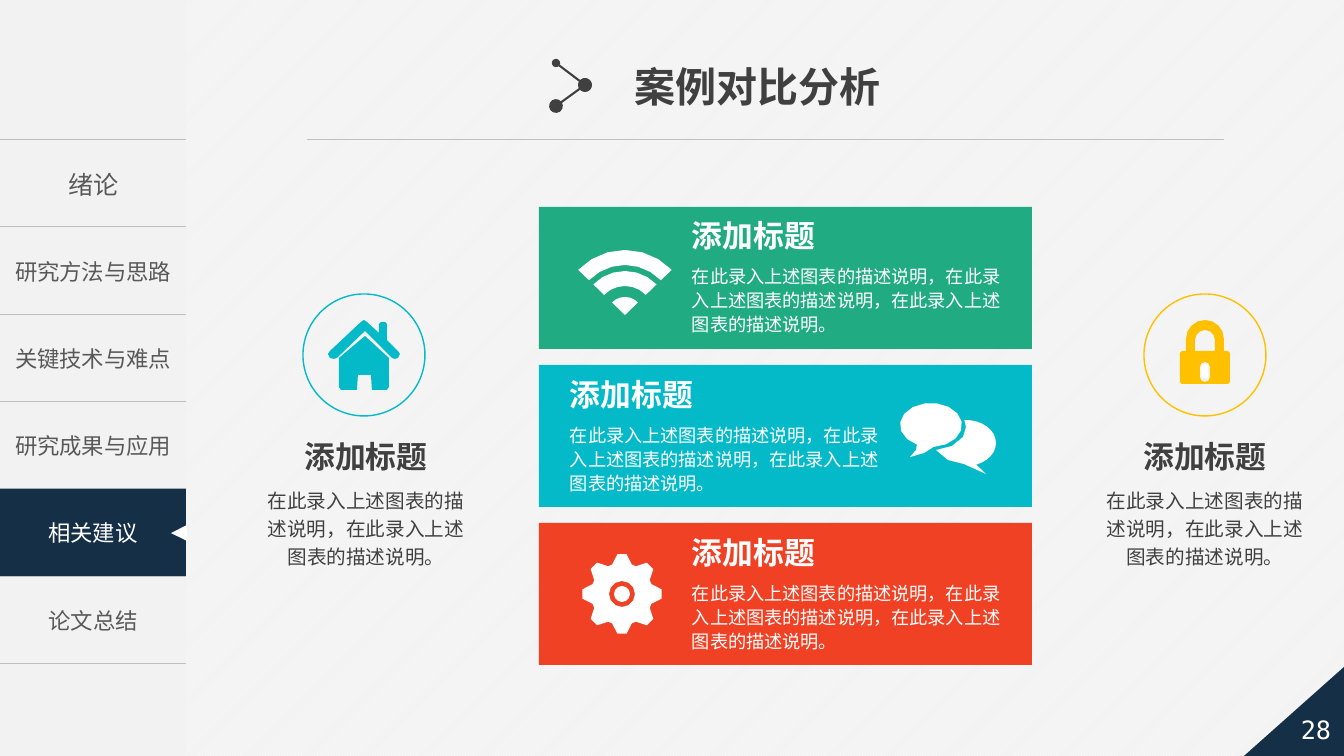
from dataclasses import dataclass
from math import cos, radians, sin

from lxml.etree import SubElement
from pptx import Presentation
from pptx.dml.color import RGBColor
from pptx.enum.dml import MSO_PATTERN
from pptx.enum.shapes import MSO_CONNECTOR, MSO_SHAPE
from pptx.enum.text import MSO_ANCHOR, PP_ALIGN
from pptx.oxml import parse_xml
from pptx.oxml.ns import nsdecls, qn
from pptx.util import Pt

PX = 914400 / 100.8
FINE = 20  # outline steps per pixel


@dataclass(frozen=True)
class Theme:
    """Colours, fonts and type sizes of the slide."""
    white: str = "FFFFFF"
    pale: str = "F2F2F2"
    rule: str = "BFBFBF"
    ink: str = "404040"
    menu_ink: str = "595959"
    navy: str = "152F47"
    green: str = "21AB82"
    cyan: str = "05BAC8"
    red: str = "F14124"
    amber: str = "FFC000"
    font: str = "Noto Sans CJK SC"
    title_font: str = "Arial"
    number_font: str = "DejaVu Sans Mono"
    title: float = 29.3
    heading: float = 22
    menu_first: float = 18
    menu: float = 16
    side: float = 14
    card: float = 13


T = Theme()
TITLE, HEADING, PAGE_NUMBER = "案例对比分析", "添加标题", "28"
MENU = ["绪论", "研究方法与思路", "关键技术与难点", "研究成果与应用", "相关建议", "论文总结"]
ACTIVE = 4
PHRASE = "在此录入上述图表的描述说明"
SIDE_TEXT = "，".join([PHRASE] * 2) + "。"
CARD_TEXT = "，".join([PHRASE] * 3) + "。"
CARDS = [(T.green, 682, 212), (T.cyan, 560, 371), (T.red, 682, 529)]  # fill, text left, top
SIDES = [(T.cyan, 364, 366), (T.amber, 1205, 1205)]  # colour, ring centre, text centre

HOUSE = [
    [(365, 336), (389, 358), (389, 387), (387, 390), (372, 390), (371, 375),
     (358, 375), (357, 390), (341, 390), (339, 387), (339, 358)],
    [(364, 320), (367, 322), (379, 333), (379, 324), (381, 322), (385, 322), (387, 324),
     (387, 340), (398, 351), (400, 354), (398, 358), (395, 359), (392, 358), (365, 331),
     (337, 358), (334, 359), (330, 358), (328, 354), (330, 351), (361, 322)],
]
# Each bubble is an ellipse (centre x, y, radius x, y), the angles it spans, and its other points.
BUBBLES = [
    ((966, 443, 30, 23), (-93, 70), [(986, 474), (964, 464), (948, 460), (936, 450),
                                    (952, 446), (963, 437), (966, 427)]),
    ((931, 425, 31, 22), (-243, 85), [(924, 453), (910, 457), (916, 450)]),
]
WIFI_CENTRE, WIFI_BANDS = (625, 315), [(0, 18), (29, 44), (50, 65)]
GEAR_CENTRE, GEAR_TOOTH = (622, 594), [(31, -18.5), (40, -6.5), (40, 6.5), (31, 18.5)]
LOCK_X = 1205


def px(*lengths):
    """Turn pixels into EMU."""
    return [round(length * PX) for length in lengths]


def color(code):
    """Make a colour from its hex code."""
    return RGBColor.from_string(code)


def arc(centre, radius, start, end, steps=6, height=None):
    """Points on a circle or ellipse between two angles in degrees."""
    angles = [radians(start + (end - start) * i / steps) for i in range(steps + 1)]
    return [(centre[0] + radius * cos(a), centre[1] + (height or radius) * sin(a))
            for a in angles]


def capsule(radius, top, bottom):
    """An upright capsule on the axis of the lock."""
    return (arc((LOCK_X, top + radius), radius, 180, 360, 4)
            + arc((LOCK_X, bottom - radius), radius, 0, 180, 4))


def style(shape, fill=None, line=None, width=1):
    """Set fill and line, and drop the shadow."""
    shape.shadow.inherit = False
    if fill:
        shape.fill.solid()
        shape.fill.fore_color.rgb = color(fill)
    else:
        shape.fill.background()
    if line:
        shape.line.color.rgb = color(line)
        shape.line.width = Pt(width)
    else:
        shape.line.fill.background()
    return shape


def add_box(kind, left, top, width, height, **look):
    """Add a styled preset shape."""
    return style(page.shapes.add_shape(kind, *px(left, top, width, height)), **look)


def add_disc(centre, radius, **look):
    """Add a circle by centre and radius."""
    x, y = centre
    return add_box(MSO_SHAPE.OVAL, x - radius, y - radius, 2 * radius, 2 * radius, **look)


def add_outline(contours, fill):
    """Add one filled outline made of closed contours."""
    grids = [[(x * FINE, y * FINE) for x, y in contour] for contour in contours]
    builder = page.shapes.build_freeform(*grids[0][0], scale=PX / FINE)
    for number, grid in enumerate(grids):
        if number:
            builder.move_to(*grid[0])
        builder.add_line_segments(grid[1:], close=True)
    return style(builder.convert_to_shape(), fill=fill)


def add_rule(start, end, ink, width, ends=()):
    """Add a straight line, with round ends of the given sizes."""
    rule = page.shapes.add_connector(MSO_CONNECTOR.STRAIGHT, *px(*start, *end))
    rule.line.color.rgb = color(ink)
    rule.line.width = Pt(width)
    for tag, size in zip(("a:headEnd", "a:tailEnd"), ends):
        SubElement(rule.line._get_or_add_ln(), qn(tag), type="oval", w=size, len=size)
    SubElement(rule._element.spPr, qn("a:effectLst"))


def write(frame, text, size, ink, font=T.font, bold=False, align=PP_ALIGN.CENTER, spacing=None):
    """Fill a text frame with one formatted paragraph."""
    frame.text = text
    para = frame.paragraphs[0]
    para.alignment = align
    if spacing:
        para.line_spacing = spacing
    span = para.runs[0]
    span.font.size, span.font.bold, span.font.name = Pt(size), bold, font
    span.font.color.rgb = color(ink)
    SubElement(span._r.get_or_add_rPr(), qn("a:ea"), typeface=T.font)


def add_text(left, top, width, height, *content, wrap=True, **look):
    """Add a text box."""
    frame = page.shapes.add_textbox(*px(left, top, width, height)).text_frame
    frame.word_wrap = wrap
    write(frame, *content, **look)
    return frame


def add_menu():
    """Add the sidebar with its table and the active entry."""
    add_box(MSO_SHAPE.RECTANGLE, 0, 0, 186, 756, fill=T.pale)
    table = page.shapes.add_table(len(MENU), 1, *px(0, 139.5, 186.5, 524)).table
    table.first_row = table.horz_banding = False
    for row, label in enumerate(MENU):
        cell = table.cell(row, 0)
        cell.vertical_anchor = MSO_ANCHOR.MIDDLE
        cell.fill.background()
        write(cell.text_frame, label, T.menu if row else T.menu_first, T.menu_ink)
        for place, side in enumerate("LRTB"):
            paint = (f'<a:solidFill><a:srgbClr val="{T.rule}"/></a:solidFill>'
                     if side in "TB" else "<a:noFill/>")
            border = f'<a:ln{side} {nsdecls("a")} w="{Pt(1)}">{paint}</a:ln{side}>'
            cell._tc.get_or_add_tcPr().insert(place, parse_xml(border))
    bar = add_box(MSO_SHAPE.RECTANGLE, 0, 489, 186, 87, fill=T.navy)
    bar.text_frame.vertical_anchor = MSO_ANCHOR.MIDDLE
    write(bar.text_frame, MENU[ACTIVE], T.menu, T.white)
    add_box(MSO_SHAPE.ISOSCELES_TRIANGLE, 171, 525, 16, 16, fill=T.white).rotation = 270


def add_header():
    """Add the title, its mark, the rule and the page number."""
    add_rule((307, 139.5), (1224, 139.5), T.rule, 0.5)
    add_text(625, 57, 269, 59, TITLE, T.title, T.ink, T.title_font,
             bold=True, align=PP_ALIGN.LEFT, wrap=False)
    add_rule((556, 63), (585, 85), T.ink, 1.5, ("med", "lg"))
    add_rule((585, 85), (556, 106), T.ink, 1.5, ("lg", "lg"))
    corner = add_box(MSO_SHAPE.RIGHT_TRIANGLE, 1244, 667, 100, 89, fill=T.navy)
    corner._element.spPr.xfrm.set("flipH", "1")
    number = add_text(1288, 703, 56, 53, PAGE_NUMBER, T.menu_first, T.white,
                      T.number_font, wrap=False)
    number.vertical_anchor = MSO_ANCHOR.MIDDLE


def add_cards():
    """Add the three coloured cards with text and icons."""
    for row, (fill, left, top) in enumerate(CARDS):
        add_box(MSO_SHAPE.RECTANGLE, 539, 207 + 158 * row, 493, 142, fill=fill)
        add_text(left, top, 171, 47, HEADING, T.heading, T.white,
                 bold=True, align=PP_ALIGN.LEFT)
        add_text(left, top + 46, 339, 83, CARD_TEXT, T.card, T.white,
                 align=PP_ALIGN.LEFT, spacing=1.1)
    for inner, outer in WIFI_BANDS:
        inside = arc(WIFI_CENTRE, inner, 316, 224) if inner else [WIFI_CENTRE]
        add_outline([arc(WIFI_CENTRE, outer, 224, 316) + inside], T.white)
    for (x, y, width, height), (start, end), tail in BUBBLES:
        add_outline([arc((x, y), width, start, end, 14, height) + tail], T.white)
    teeth = [arc(GEAR_CENTRE, radius, 45 * tooth + turn, 0, 1)[0]
             for tooth in range(8) for radius, turn in GEAR_TOOTH]
    add_outline([teeth, arc(GEAR_CENTRE, 13, 360, 0, 12)], T.white)
    add_disc(GEAR_CENTRE, 8, fill=T.white)


def add_sides():
    """Add the ringed icons and their captions."""
    for ink, ring_x, text_x in SIDES:
        add_disc((ring_x, 355), 61, line=ink)
        add_text(text_x - 86, 433, 172, 47, HEADING, T.heading, T.ink, bold=True)
        add_text(text_x - 109, 479, 218, 96, SIDE_TEXT, T.side, T.ink, spacing=1.2)
    add_outline(HOUSE, T.cyan)
    lock = arc((LOCK_X, 339), 19, 180, 360, 8) + [
        (1224, 351), (1228, 351), (1230, 353), (1230, 382), (1228, 384),
        (1182, 384), (1180, 382), (1180, 353), (1182, 351), (1186, 351)]
    opening = arc((LOCK_X, 340), 10, 180, 360) + [(1215, 351), (1195, 351)]
    add_outline([lock, opening, capsule(5, 362, 382)], T.amber)
    add_outline([capsule(3.5, 364, 378)], T.white)


deck = Presentation()
deck.slide_width, deck.slide_height = px(1344, 756)
page = deck.slides.add_slide(deck.slide_layouts[6])
backdrop = page.background.fill
backdrop.patterned()
backdrop.pattern = MSO_PATTERN.LIGHT_UPWARD_DIAGONAL
backdrop.fore_color.rgb, backdrop.back_color.rgb = color(T.white), color(T.pale)
add_menu()
add_header()
add_cards()
add_sides()
deck.save("out.pptx")
